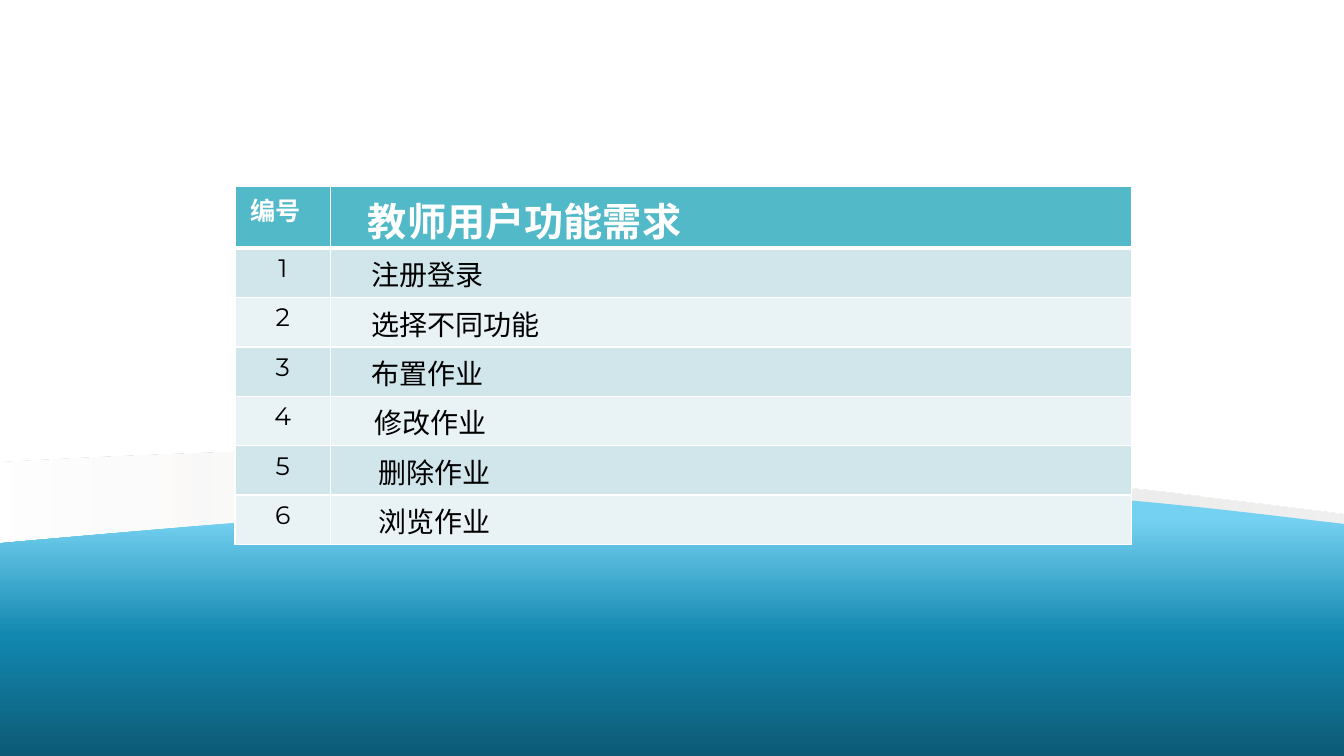
from lxml import etree
from pptx import Presentation
from pptx.dml.color import RGBColor as RGB
from pptx.enum.text import PP_ALIGN as Align
from pptx.oxml.ns import nsdecls, qn
from pptx.util import Inches, Pt

COLORS = {
    "white": "FFFFFF", "black": "000000", "head": "51B9C7",
    "dark": "D0E6EB", "light": "E9F3F5",
    "gray": "D9D9D9", "warm": "E5DEDB",
    "sky": "75D1F1", "sea": "1287AF", "deep": "0C5A75",
}
FONT = "Montserrat"

# Label and left margin in inches
TASKS = [("注册登录", 0.4), ("选择不同功能", 0.4), ("布置作业", 0.4),
         ("修改作业", 0.43), ("删除作业", 0.47), ("浏览作业", 0.47)]


class Page:
    def __init__(self, slide):
        self.slide = slide

    def wave(self, box, start, steps, stops, angle):
        """Closed outline in a box: a step of one point is a line, of three a curve.

        A gradient stop is position, color, opacity.
        """
        left, top, width, height = map(Inches, box)
        form = self.slide.shapes.build_freeform(left, top, scale=1.0)
        form.add_line_segments([(left + width, top),
                                (left + width, top + height),
                                (left, top + height)], close=True)
        shape = form.convert_to_shape()
        shape.shadow.inherit = False
        shape.line.fill.background()
        shape.fill.background()
        props = shape.element.spPr

        outline = props.find(".//" + qn("a:path"))
        for part in list(outline):
            outline.remove(part)
        for i, step in enumerate([[start], *steps]):
            tag = "moveTo" if i == 0 else "lnTo" if len(step) == 1 else "cubicBezTo"
            part = etree.SubElement(outline, qn("a:" + tag))
            for x, y in step:
                etree.SubElement(part, qn("a:pt"), x=str(Inches(x) - left),
                                 y=str(Inches(y) - top))
        etree.SubElement(outline, qn("a:close"))

        marks = "".join(
            f'<a:gs pos="{pos * 1000}"><a:srgbClr val="{COLORS[color]}">'
            f'<a:alpha val="{alpha * 1000}"/></a:srgbClr></a:gs>'
            for pos, color, alpha in stops)
        grad = etree.fromstring(
            f'<a:gradFill {nsdecls("a")} rotWithShape="1"><a:gsLst>{marks}</a:gsLst>'
            f'<a:lin ang="{angle * 60000}" scaled="0"/></a:gradFill>')
        props.replace(props.find(qn("a:noFill")), grad)

    def table(self, left, top, widths, heights):
        frame = self.slide.shapes.add_table(
            len(heights), len(widths), Inches(left), Inches(top),
            Inches(sum(widths)), Inches(sum(heights)))
        grid = frame.table
        grid.horz_banding = False
        for col, width in zip(grid.columns, widths):
            col.width = Inches(width)
        for row, height in zip(grid.rows, heights):
            row.height = Inches(height)
        return grid

    def cell(self, cell, text, size, fill, color="black", bold=False,
             margin=0.1, align=Align.LEFT, top=1, bottom=1):
        cell.fill.solid()
        cell.fill.fore_color.rgb = RGB.from_string(COLORS[fill])
        cell.margin_left = Inches(margin)
        cell.margin_bottom = 0
        para = cell.text_frame.paragraphs[0]
        para.text = text
        para.alignment = align
        font = para.runs[0].font
        font.name, font.size, font.bold = FONT, Pt(size), bold
        font.color.rgb = RGB.from_string(COLORS[color])
        props = cell._tc.get_or_add_tcPr()
        for i, (side, width) in enumerate(zip("LRTB", (1, 1, top, bottom))):
            props.insert(i, etree.fromstring(
                f'<a:ln{side} {nsdecls("a")} w="{Pt(width)}"><a:solidFill>'
                f'<a:srgbClr val="{COLORS["white"]}"/></a:solidFill></a:ln{side}>'))


def main():
    deck = Presentation()
    deck.slide_width, deck.slide_height = Inches(13.33), Inches(7.5)
    page = Page(deck.slides.add_slide(deck.slide_layouts[6]))

    page.wave(
        (0, 4.46, 13.33, 0.93), (0, 4.59),
        [[(5.92, 4.25), (9.33, 4.59), (13.33, 5.1)],
         [(13.33, 5.34), (13.33, 5.07), (13.33, 5.31)],
         [(8.72, 4.39), (4.83, 5.15), (0, 5.39)],
         [(0, 4.59)]],
        [(0, "gray", 40), (50, "warm", 70), (100, "white", 50)], 180)
    page.wave(
        (0, 4.86, 13.33, 2.64), (0, 5.39),
        [[(6.92, 4.77), (7.63, 4.87), (8.99, 4.87)],
         [(10.36, 4.87), (11.31, 4.95), (13.33, 5.2)],
         [(13.33, 7.5)], [(0, 7.5)], [(0, 5.39)]],
        [(11, "sky", 100), (55, "sea", 100), (100, "deep", 100)], 90)

    grid = page.table(2.33, 1.85, [0.95, 7.94], [0.61] + [0.49] * len(TASKS))
    heads = [("编号", 18, 0.15), ("教师用户功能需求", 28, 0.37)]
    for col, (text, size, margin) in enumerate(heads):
        page.cell(grid.cell(0, col), text, size, "head", "white", True,
                  margin, bottom=3)
    for row, (text, margin) in enumerate(TASKS, 1):
        fill = "dark" if row % 2 else "light"
        top = 3 if row == 1 else 1
        page.cell(grid.cell(row, 0), str(row), 18, fill,
                  align=Align.CENTER, top=top)
        page.cell(grid.cell(row, 1), text, 20, fill, margin=margin, top=top)

    deck.save("out.pptx")


if __name__ == "__main__":
    main()
